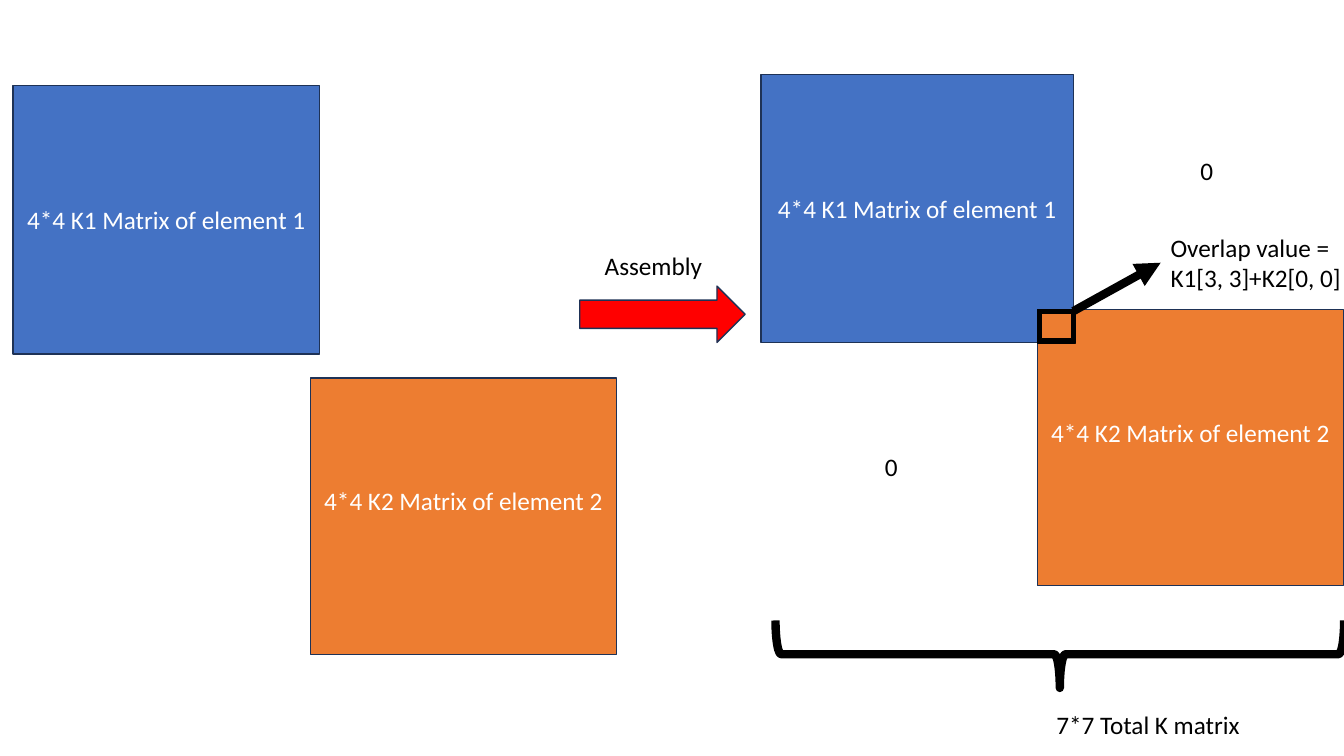
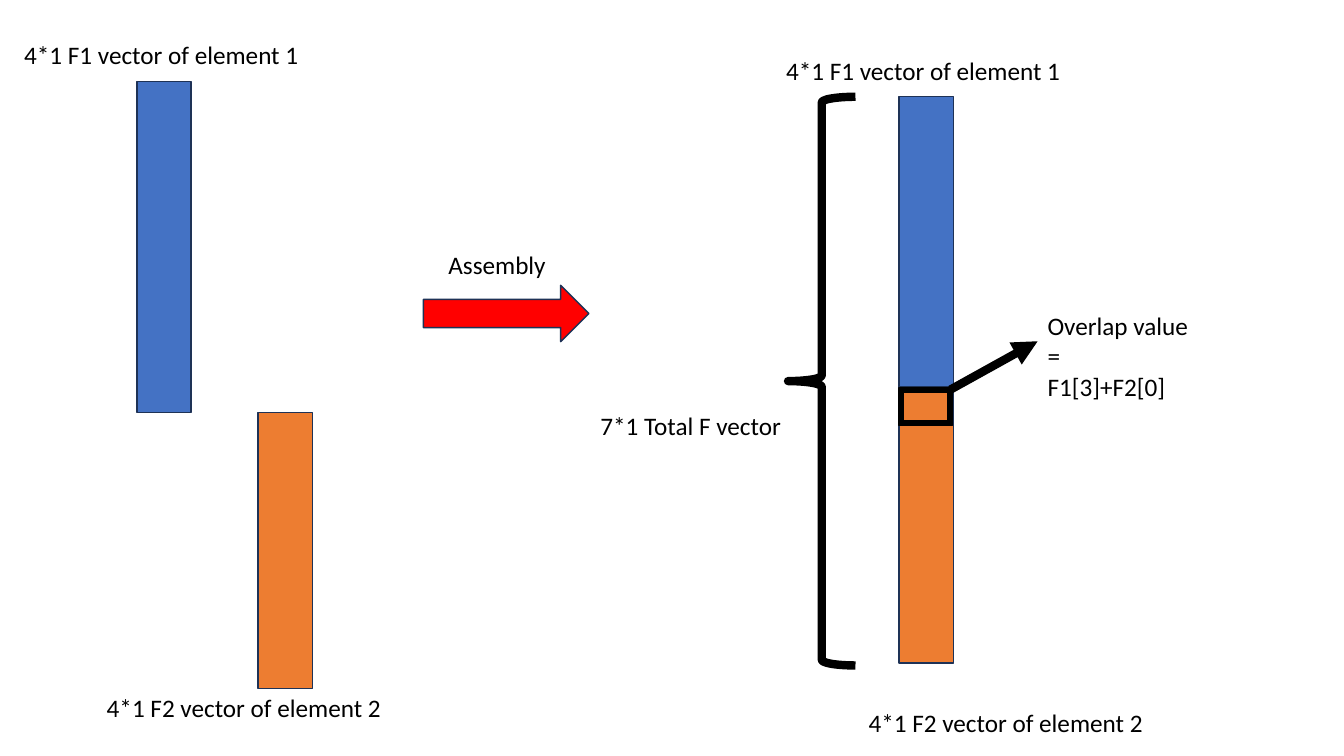
from lxml import etree
from pptx import Presentation, util as u
from pptx.dml.color import RGBColor
from pptx.enum import shapes, text
from pptx.oxml import ns

COLORS = {"first": "4472C4", "second": "ED7D31", "edge": "1E3256",
          "arrow": "FF0000", "ink": "000000", "light": "FFFFFF"}
FONT = {"name": "Calibri", "size": u.Pt(18)}
LABEL = {"word_wrap": False, "auto_size": text.MSO_AUTO_SIZE.SHAPE_TO_FIT_TEXT}
BLOCK = {"word_wrap": True, "vertical_anchor": text.MSO_ANCHOR.MIDDLE}
KINDS = shapes.MSO_SHAPE


def rgb(name):
    return RGBColor.from_string(COLORS[name])


def apply(target, values):
    for key, value in values.items():
        setattr(target, key, value)


def write(tf, lines, color, align):
    for i, line in enumerate(lines):
        p = tf.add_paragraph() if i else tf.paragraphs[0]
        p.alignment = align
        r = p.add_run()
        r.text = line
        apply(r.font, FONT)
        r.font.color.rgb = rgb(color)


def shape(s, kind, box, fill=None, line="edge", weight=1):
    sp = s.shapes.add_shape(kind, *map(u.Cm, box))
    sp.shadow.inherit = False
    if fill:
        sp.fill.solid()
        sp.fill.fore_color.rgb = rgb(fill)
    else:
        sp.fill.background()
    sp.line.color.rgb = rgb(line)
    sp.line.width = u.Pt(weight)
    return sp


def label(s, box, *lines):
    tf = s.shapes.add_textbox(*map(u.Cm, box)).text_frame
    apply(tf, LABEL)
    write(tf, lines, "ink", text.PP_ALIGN.LEFT)


def matrix(s, box, fill, caption, bottom=0.13):
    tf = shape(s, KINDS.RECTANGLE, box, fill).text_frame
    apply(tf, {**BLOCK, "margin_bottom": u.Cm(bottom)})
    write(tf, [caption], "light", text.PP_ALIGN.CENTER)


def matrix_pair(s, first, second):
    matrix(s, first, "first", "4*4 K1 Matrix of element 1")
    matrix(s, second, "second", "4*4 K2 Matrix of element 2", bottom=0.9)


def vector_pair(s, first, second, first_label, second_label):
    for n, (fill, box, at) in enumerate((("first", first, first_label),
                                         ("second", second, second_label)), 1):
        shape(s, KINDS.RECTANGLE, box, fill)
        label(s, (*at, 7.52, 1.02), f"4*1 F{n} vector of element {n}")


def assembly(s, left, top):
    shape(s, KINDS.RIGHT_ARROW, (left, top, 4.17, 1.42), "arrow")
    label(s, (left + 0.38, top - 1.02, 3.12, 1.02), "Assembly ")


def overlap(s, box, formula, width):
    left, top, w, h = box
    x, y = left + w - 0.06, top + 0.04
    tip_x, tip_y = x + 2.2, y - 1.22
    c = s.shapes.add_connector(shapes.MSO_CONNECTOR.STRAIGHT,
                               *map(u.Cm, (x, y, tip_x, tip_y)))
    c.line.color.rgb = rgb("ink")
    c.line.width = u.Pt(6)
    etree.SubElement(c.line._get_or_add_ln(), ns.qn("a:tailEnd"), type="triangle")
    etree.SubElement(c._element.spPr, ns.qn("a:effectLst"))
    shape(s, KINDS.FRAME, box, "ink", "ink")
    label(s, (tip_x, tip_y - 0.9, width, 1.8), "Overlap value = ", formula)


def total(s, left, top, caption, at, rotation=0):
    sp = shape(s, KINDS.LEFT_BRACE, (left, top, 1.7, 14.33), line="ink", weight=6)
    sp.rotation = rotation
    label(s, (*at, 5.15, 1.02), caption)


def matrix_slide(s):
    matrix_pair(s, (0.33, 2.16, 7.72, 6.76), (7.82, 9.53, 7.72, 6.96))
    matrix_pair(s, (19.18, 1.88, 7.87, 6.76), (26.14, 7.8, 7.72, 6.96))
    assembly(s, 14.61, 7.21)
    overlap(s, (26.14, 7.8, 0.97, 0.84), "K1[3, 3]+K2[0, 0]", 4.85)
    total(s, 25.86, 9.32, "7*7 Total K matrix", (26.37, 17.75), 270)
    for left, top in ((22.05, 11.25), (30, 3.78)):
        label(s, (left, top, 0.84, 1.02), "0")


def vector_slide(s):
    vector_pair(s, (3.45, 2.06, 1.37, 8.33), (6.5, 10.39, 1.37, 6.96),
                (0.36, 0.86), (2.44, 17.32))
    vector_pair(s, (22.66, 2.44, 1.37, 8.33), (22.66, 9.75, 1.37, 6.96),
                (19.56, 1.27), (21.64, 17.7))
    assembly(s, 10.67, 7.19)
    overlap(s, (22.66, 9.78, 1.35, 0.94), "F1[3]+F2[0]", 4.4)
    total(s, 19.86, 2.44, "7*1 Total F vector", (14.88, 10.21))


prs = Presentation()
apply(prs, {"slide_width": u.Cm(33.87), "slide_height": u.Cm(19.05)})
for build in (matrix_slide, vector_slide):
    build(prs.slides.add_slide(prs.slide_layouts[6]))
prs.save("out.pptx")
